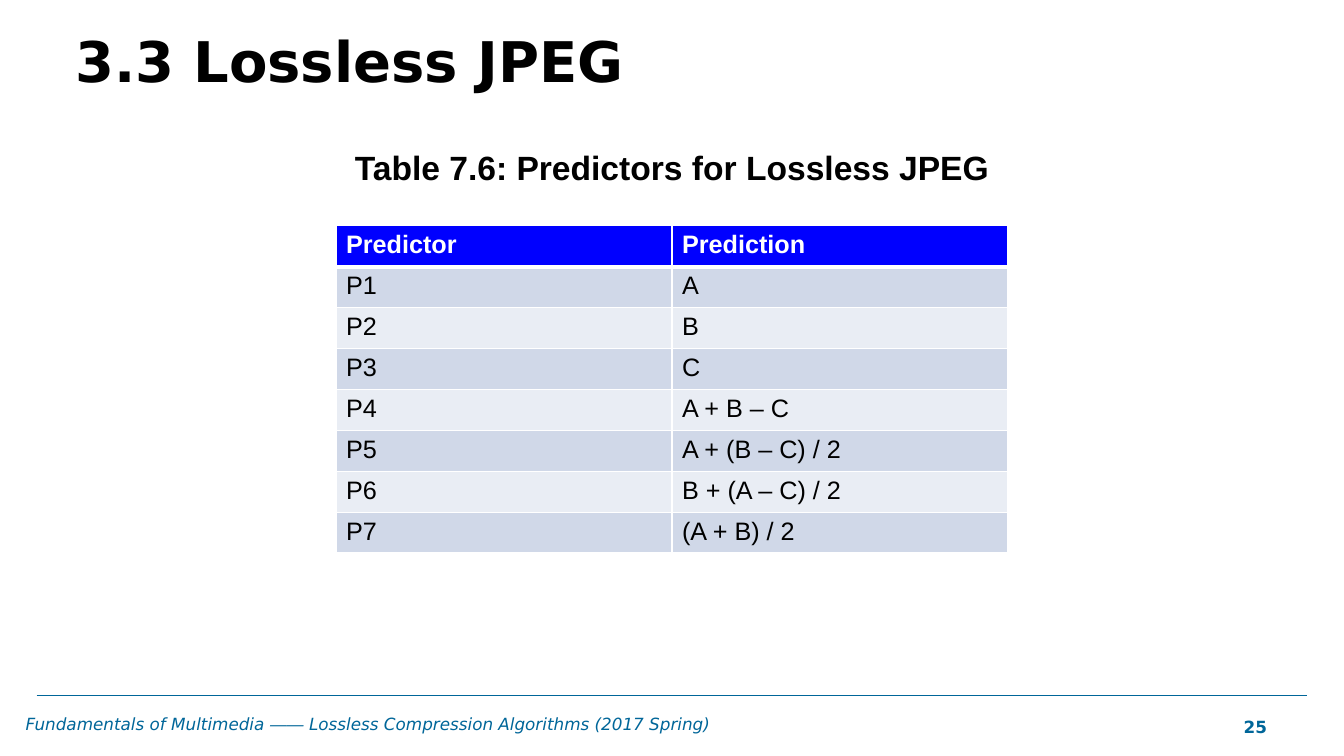
from pptx import Presentation
from pptx.dml.color import RGBColor
from pptx.enum.shapes import MSO_CONNECTOR
from pptx.enum.text import MSO_ANCHOR, MSO_AUTO_SIZE, PP_ALIGN
from pptx.oxml import parse_xml
from pptx.oxml.ns import nsdecls
from pptx.util import Pt

PX = 9525
STRAIGHT = MSO_CONNECTOR.STRAIGHT
TOP, MIDDLE, BOTTOM = MSO_ANCHOR.TOP, MSO_ANCHOR.MIDDLE, MSO_ANCHOR.BOTTOM
LEFT, CENTER = PP_ALIGN.LEFT, PP_ALIGN.CENTER
NO_FIT = MSO_AUTO_SIZE.NONE
TITLE_ONLY = 5

SANS, ARIAL = "DejaVu Sans", "Arial"
BLACK, WHITE, TEAL, BLUE = "000000", "FFFFFF", "006699", "0000FF"
BANDS = ["D0D8E8", "E9EDF4"]

TITLE_FONT = {"name": SANS, "size": Pt(40), "bold": True}
CAPTION_FONT = {"name": ARIAL, "size": Pt(24), "bold": True}
HEADER_FONT = {"name": ARIAL, "size": Pt(18), "bold": True}
CELL_FONT = {"name": ARIAL, "size": Pt(18), "bold": False}
FOOTER_FONT = {"name": SANS, "size": Pt(12), "italic": True}
DASH_FONT = FOOTER_FONT | {"name": ARIAL}
NUMBER_FONT = {"name": SANS, "size": Pt(12), "bold": True}

PREDICTORS = [
    ("Predictor", "Prediction"),
    ("P1", "A"),
    ("P2", "B"),
    ("P3", "C"),
    ("P4", "A + B – C"),
    ("P5", "A + (B – C) / 2"),
    ("P6", "B + (A – C) / 2"),
    ("P7", "(A + B) / 2"),
]


def emu(box):
    """Turn px lengths into EMU."""
    return [length * PX for length in box]


def color(value):
    """Turn a hex string into a colour."""
    return RGBColor.from_string(value)


def apply(target, formats):
    """Set every attribute of a format dict."""
    for name, value in formats.items():
        setattr(target, name, value)


def write(para, spans, ink):
    """Fill a paragraph with (text, font) spans in one colour."""
    for text, font in spans:
        span = para.add_run()
        span.text = text
        apply(span.font, font)
        span.font.color.rgb = color(ink)


def add_text(page, box, spans, ink, frame_format, para_format):
    """Add a text box holding one paragraph."""
    frame = page.shapes.add_textbox(*emu(box)).text_frame
    apply(frame, {"word_wrap": True} | frame_format)
    para = frame.paragraphs[0]
    apply(para, para_format)
    write(para, spans, ink)


def add_title(page, box, text):
    """Place and format the title placeholder."""
    title = page.shapes.title
    apply(title, dict(zip(("left", "top", "width", "height"), emu(box))))
    apply(title.text_frame, {"vertical_anchor": BOTTOM, "auto_size": NO_FIT})
    para = title.text_frame.paragraphs[0]
    apply(para, {"alignment": LEFT, "line_spacing": 0.9})
    write(para, [(text, TITLE_FONT)], BLACK)


def add_borders(cell, widths):
    """Draw white cell borders with the given widths in points."""
    properties = cell._tc.get_or_add_tcPr()
    for place, (side, width) in enumerate(widths.items()):
        properties.insert(place, parse_xml(
            f'<a:{side} {nsdecls("a")} w="{Pt(width)}"><a:solidFill>'
            f'<a:srgbClr val="{WHITE}"/></a:solidFill></a:{side}>'))


def add_predictors(page, box, rows):
    """Add the banded table with a blue header row."""
    table = page.shapes.add_table(len(rows), len(rows[0]), *emu(box)).table
    for index, values in enumerate(rows):
        header = index == 0
        fill = BLUE if header else BANDS[(index - 1) % 2]
        font = HEADER_FONT if header else CELL_FONT
        widths = {"lnL": 1, "lnR": 1, "lnT": 3 if index == 1 else 1,
                  "lnB": 3 if header else 1}
        for column, text in enumerate(values):
            cell = table.cell(index, column)
            cell.fill.solid()
            cell.fill.fore_color.rgb = color(fill)
            add_borders(cell, widths)
            write(cell.text_frame.paragraphs[0], [(text, font)],
                  WHITE if header else BLACK)


def add_footer(page, box, spans, number):
    """Add the rule, the course line and the page number."""
    left, top, width, height = box
    rule = page.shapes.add_connector(
        STRAIGHT, *emu((left + 20, top, left + width, top)))
    rule.line.color.rgb = color(TEAL)
    rule.line.width = Pt(0.75)
    rule._element.spPr.append(parse_xml(f'<a:effectLst {nsdecls("a")}/>'))
    add_text(page, (left, top + 16, 1068, 23), spans, TEAL,
             {"vertical_anchor": MIDDLE}, {})
    add_text(page, (left + width - 70, top + 16, 51, height - 16),
             [(number, NUMBER_FONT)], TEAL, {"word_wrap": False}, {})


def build_slide(deck):
    """Build the predictor table slide."""
    page = deck.slides.add_slide(deck.slide_layouts[TITLE_ONLY])
    add_footer(page, (15, 662, 1230, 45), [
        ("Fundamentals of Multimedia ", FOOTER_FONT),
        ("——", DASH_FONT),
        (" Lossless Compression Algorithms (2017 Spring)", FOOTER_FONT),
    ], "25")
    add_title(page, (62, 11, 1154, 84), "3.3 Lossless JPEG")
    add_text(page, (208, 135, 864, 67),
             [("Table 7.6: Predictors for Lossless JPEG", CAPTION_FONT)],
             BLACK, {"vertical_anchor": TOP},
             {"alignment": CENTER, "space_before": Pt(3)})
    add_predictors(page, (320, 215, 640, 312), PREDICTORS)


def main():
    """Create and save the deck."""
    deck = Presentation()
    apply(deck, {"slide_width": 1280 * PX, "slide_height": 720 * PX})
    build_slide(deck)
    deck.save("out.pptx")


if __name__ == "__main__":
    main()
